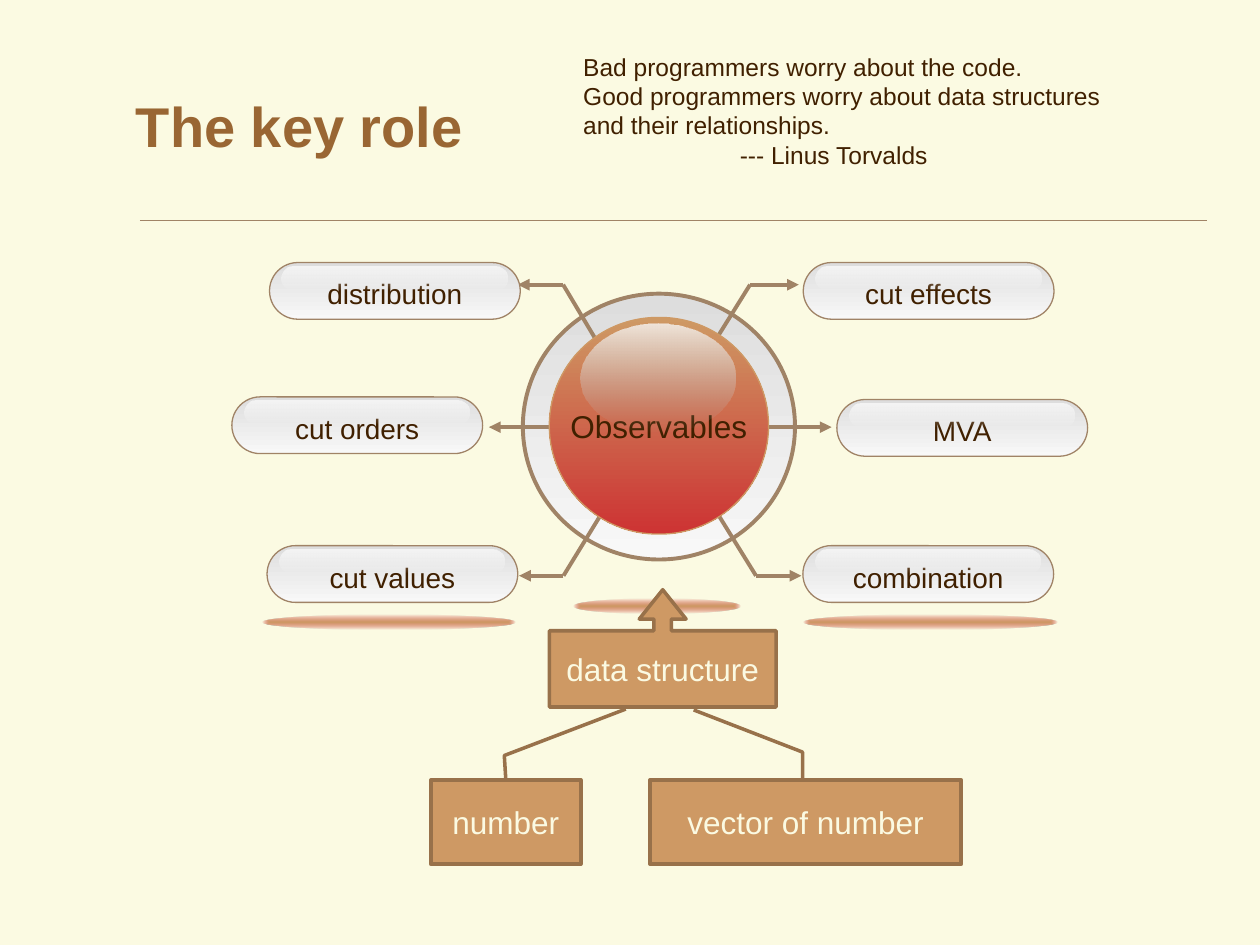
from pptx import Presentation
from pptx.dml.color import RGBColor
from pptx.enum.shapes import MSO_CONNECTOR, MSO_SHAPE
from pptx.enum.text import MSO_ANCHOR, PP_ALIGN
from pptx.oxml.ns import qn
from pptx.util import Pt
from lxml.etree import SubElement

COLORS = {
    "cream": "FBFAE2", "title": "996633", "ink": "402000", "taupe": "A08366",
    "tan": "CE9964", "brown": "98714A", "red": "CD3333",
    "silver": "DDDDDD", "pale": "F8F8F8", "white": "FFFFFF", "gray": "B1B1B1",
}
FONT = "Arial"


def rgb(name):
    return RGBColor.from_string(COLORS[name])


class SlideBuilder:
    def __init__(self, page):
        self.page = page
        page.background.fill.solid()
        page.background.fill.fore_color.rgb = rgb("cream")

    def shape(self, kind, left, top, width, height, fill=None, line=None,
              weight=0.75, adjustments=()):
        shape = self.page.shapes.add_shape(
            kind, Pt(left), Pt(top), Pt(width), Pt(height))
        shape.shadow.inherit = False
        for index, value in enumerate(adjustments):
            shape.adjustments[index] = value
        if fill:
            shape.fill.solid()
            shape.fill.fore_color.rgb = rgb(fill)
        if line:
            shape.line.color.rgb = rgb(line)
            shape.line.width = Pt(weight)
        else:
            shape.line.fill.background()
        return shape

    def gradient(self, shape, *stops, radial=False):
        """Fill with two (colour, opacity in percent) stops, downwards or from the centre."""
        shape.fill.gradient()
        shape.fill.gradient_angle = 270
        for stop, (color, _) in zip(shape.fill.gradient_stops, stops):
            stop.color.rgb = rgb(color)
        grad = shape._element.spPr.find(qn("a:gradFill"))
        for node, (_, opacity) in zip(grad.iter(qn("a:srgbClr")), stops):
            if opacity < 100:
                SubElement(node, qn("a:alpha")).set("val", str(opacity * 1000))
        if radial:
            grad.remove(grad.find(qn("a:lin")))
            radius = SubElement(grad, qn("a:path"))
            radius.set("path", "shape")
            center = SubElement(radius, qn("a:fillToRect"))
            for side in "ltrb":
                center.set(side, "50000")

    def set_text(self, shape, text, size, color, align=PP_ALIGN.CENTER,
                 anchor=MSO_ANCHOR.MIDDLE, wrap=True, bold=False):
        frame = shape.text_frame
        frame.text = text
        frame.word_wrap = wrap
        frame.vertical_anchor = anchor
        for paragraph in frame.paragraphs:
            paragraph.alignment = align
            for span in paragraph.runs:
                span.font.name = FONT
                span.font.size = Pt(size)
                span.font.bold = bold
                span.font.color.rgb = rgb(color)
        return frame

    def text(self, left, top, width, height, text, size, color, **style):
        box = self.page.shapes.add_textbox(
            Pt(left), Pt(top), Pt(width), Pt(height))
        return self.set_text(box, text, size, color, align=PP_ALIGN.LEFT, **style)

    def line(self, start, end, weight=2.25, arrow=False):
        line = self.page.shapes.add_connector(
            MSO_CONNECTOR.STRAIGHT, *map(Pt, (*start, *end)))
        line.line.color.rgb = rgb("taupe")
        line.line.width = Pt(weight)
        properties = line._element.spPr
        if arrow:
            SubElement(properties.find(qn("a:ln")), qn("a:tailEnd")).set("type", "triangle")
        SubElement(properties, qn("a:effectLst"))

    def arm(self, *points):
        """Draw a bent line with an arrowhead on its last segment."""
        for index in range(1, len(points)):
            self.line(points[index - 1], points[index], arrow=index == len(points) - 1)

    def glow(self, left, top, width):
        glow = self.shape(MSO_SHAPE.OVAL, left, top, width, 8.6)
        self.gradient(glow, ("tan", 100), ("red", 0), radial=True)

    def pill(self, left, top, label):
        pill = self.shape(MSO_SHAPE.ROUNDED_RECTANGLE, left, top, 143.3, 32.4,
                          line="taupe", adjustments=[0.5])
        self.gradient(pill, ("silver", 100), ("pale", 100))
        self.set_text(pill, label, 16, "ink", anchor=MSO_ANCHOR.TOP, wrap=False)
        shine = self.shape(MSO_SHAPE.ROUNDED_RECTANGLE, left + 7, top + 2.2,
                           128.9, 13, adjustments=[0.5])
        self.gradient(shine, ("white", 70), ("white", 0))

    def block(self, kind, left, top, width, height, label, adjustments):
        block = self.shape(kind, left, top, width, height, "tan", "brown", 2, adjustments)
        self.set_text(block, label, 18, "cream")


def main():
    deck = Presentation()
    deck.slide_width, deck.slide_height = Pt(720), Pt(540)
    slide = SlideBuilder(deck.slides.add_slide(deck.slide_layouts[6]))

    slide.line((80, 126), (690, 126), weight=0.25)
    slide.text(70.6, 31.7, 613.4, 79.2, "The key role", 32, "title", bold=True)

    slide.glow(459.4, 351.4, 144.7)
    slide.glow(149.8, 351.4, 144.7)

    ring = slide.shape(MSO_SHAPE.OVAL, 298.8, 167.8, 155.5, 151.9,
                       line="taupe", weight=2.25)
    slide.gradient(ring, ("silver", 100), ("pale", 100))

    upper, middle, lower = 162.7, 244.1, 329
    slide.arm((342, 196.6), (321.8, upper), (295.9, upper))
    slide.arm((342.7, 295.2), (322, lower), (296.6, lower))
    slide.arm((319, middle), (279.4, middle))
    slide.arm((407.5, 196.6), (428.6, upper), (456.5, upper))
    slide.arm((411.1, 295.2), (432, lower), (457.9, lower))
    slide.arm((433.4, middle), (475.2, middle))

    for left, top, label in [
        (154, 150, "distribution"), (459, 150, "cut effects"),
        (478.2, 228.3, "MVA"), (458.8, 311.8, "combination"),
        (152.6, 311.8, "cut values"), (132.5, 226.8, "cut orders"),
    ]:
        slide.pill(left, top, label)

    slide.glow(327.6, 342, 95.8)
    core = slide.shape(MSO_SHAPE.ROUNDED_RECTANGLE, 313.9, 181.4, 125.3, 123.8,
                       line="tan", adjustments=[0.5])
    slide.gradient(core, ("tan", 100), ("red", 100))
    slide.set_text(core, "Observables", 18, "ink", wrap=False)
    shine = slide.shape(MSO_SHAPE.OVAL, 331.9, 185, 88.6, 61.9)
    slide.gradient(shine, ("pale", 80), ("gray", 0))

    slide.block(MSO_SHAPE.UP_ARROW_CALLOUT, 313.9, 337, 129.6, 67,
                "data structure", [0.15, 0.2, 0.25, 0.65])
    slide.block(MSO_SHAPE.LINE_CALLOUT_2, 371.5, 445.7, 177.8, 48.2,
                "vector of number", [-0.02, 0.49, -0.33, 0.49, -0.83, 0.14])
    slide.block(MSO_SHAPE.LINE_CALLOUT_2, 246.2, 445.7, 85.7, 48.2,
                "number", [-0.01, 0.5, -0.29, 0.49, -0.84, 1.3])

    quote = slide.text(
        326.2, 26, 314.6, 74.2,
        "Bad programmers worry about the code.\n"
        "Good programmers worry about data structures and their relationships.\n"
        "--- Linus Torvalds", 14, "ink", anchor=MSO_ANCHOR.TOP)
    quote.paragraphs[-1]._p.get_or_add_pPr().set("marL", str(Pt(89.5)))

    deck.save("out.pptx")


if __name__ == "__main__":
    main()
